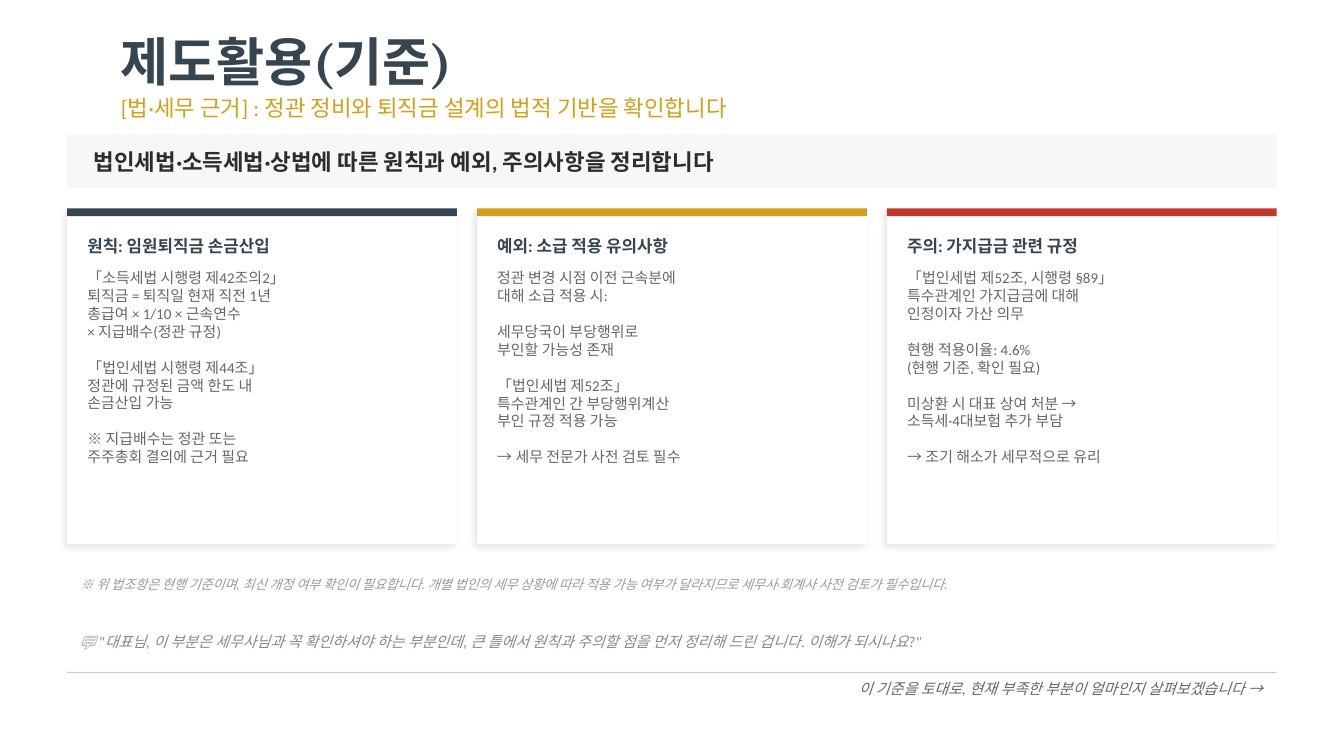
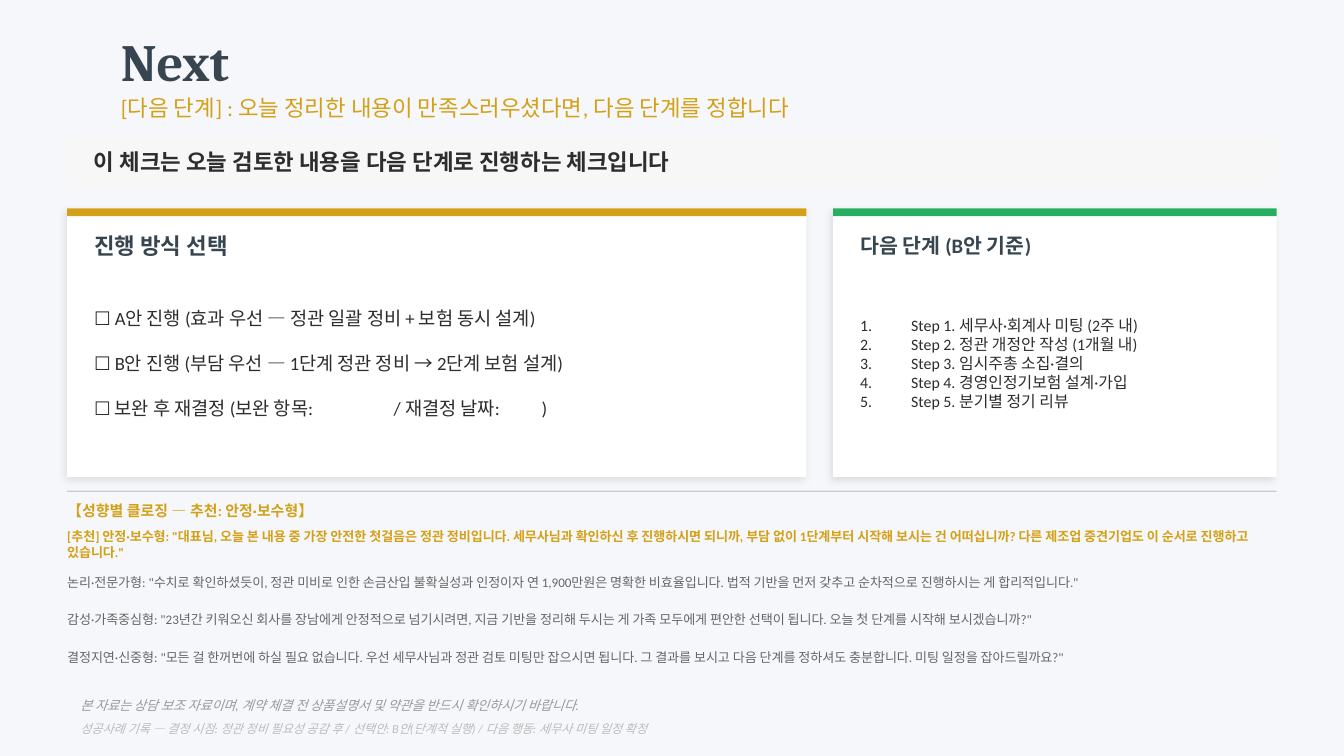
from lxml import etree
from pptx import Presentation
from pptx.dml.color import RGBColor
from pptx.enum.shapes import MSO_SHAPE
from pptx.enum.text import MSO_ANCHOR, MSO_AUTO_SIZE, PP_ALIGN
from pptx.oxml.ns import qn
from pptx.util import Inches, Pt

RECT = MSO_SHAPE.RECTANGLE
TOP, MIDDLE = MSO_ANCHOR.TOP, MSO_ANCHOR.MIDDLE
LEFT, RIGHT = PP_ALIGN.LEFT, PP_ALIGN.RIGHT
NO_FIT = MSO_AUTO_SIZE.NONE

# Shared look
HEAD_FONT, BODY_FONT = "Cambria", "Calibri"
SLATE, GOLD, RED, GREEN = "36454F", "D4A017", "C0392B", "27AE60"
INK, GRAY, WHITE, BAND, RULE = "2D2D2D", "666666", "FFFFFF", "F7F7F7", "CCCCCC"
NOTE, QUOTE, FAINT = "999999", "888888", "BBBBBB"
MARGIN, CONTENT_W, CARD_TOP = 0.5, 9, 1.55

LEGAL_CARDS = [
    (SLATE, "원칙: 임원퇴직금 손금산입", [
        ["「소득세법 시행령 제42조의2」", "퇴직금 = 퇴직일 현재 직전 1년",
         "총급여 × 1/10 × 근속연수", "× 지급배수(정관 규정)"],
        ["「법인세법 시행령 제44조」", "정관에 규정된 금액 한도 내", "손금산입 가능"],
        ["※ 지급배수는 정관 또는", "주주총회 결의에 근거 필요"]]),
    (GOLD, "예외: 소급 적용 유의사항", [
        ["정관 변경 시점 이전 근속분에", "대해 소급 적용 시:"],
        ["세무당국이 부당행위로", "부인할 가능성 존재"],
        ["「법인세법 제52조」", "특수관계인 간 부당행위계산", "부인 규정 적용 가능"],
        ["→ 세무 전문가 사전 검토 필수"]]),
    (RED, "주의: 가지급금 관련 규정", [
        ["「법인세법 제52조, 시행령 §89」", "특수관계인 가지급금에 대해", "인정이자 가산 의무"],
        ["현행 적용이율: 4.6%", "(현행 기준, 확인 필요)"],
        ["미상환 시 대표 상여 처분 →", "소득세·4대보험 추가 부담"],
        ["→ 조기 해소가 세무적으로 유리"]]),
]

OPTIONS = [
    ["☐ A안 진행 (효과 우선 — 정관 일괄 정비 + 보험 동시 설계)"],
    ["☐ B안 진행 (부담 우선 — 1단계 정관 정비 → 2단계 보험 설계)"],
    ["☐ 보완 후 재결정 (보완 항목:\t/ 재결정 날짜:\t)"],
]

STEPS = [
    "Step 1. 세무사·회계사 미팅 (2주 내)",
    "Step 2. 정관 개정안 작성 (1개월 내)",
    "Step 3. 임시주총 소집·결의",
    "Step 4. 경영인정기보험 설계·가입",
    "Step 5. 분기별 정기 리뷰",
]

CLOSINGS = [
    "[추천] 안정·보수형: \"대표님, 오늘 본 내용 중 가장 안전한 첫걸음은 정관 정비입니다. "
    "세무사님과 확인하신 후 진행하시면 되니까, 부담 없이 1단계부터 시작해 보시는 건 어떠십니까? "
    "다른 제조업 중견기업도 이 순서로 진행하고 있습니다.\"",
    "논리·전문가형: \"수치로 확인하셨듯이, 정관 미비로 인한 손금산입 불확실성과 인정이자 연 "
    "1,900만원은 명확한 비효율입니다. 법적 기반을 먼저 갖추고 순차적으로 진행하시는 게 합리적입니다.\"",
    "감성·가족중심형: \"23년간 키워오신 회사를 장남에게 안정적으로 넘기시려면, 지금 기반을 정리해 "
    "두시는 게 가족 모두에게 편안한 선택이 됩니다. 오늘 첫 단계를 시작해 보시겠습니까?\"",
    "결정지연·신중형: \"모든 걸 한꺼번에 하실 필요 없습니다. 우선 세무사님과 정관 검토 미팅만 "
    "잡으시면 됩니다. 그 결과를 보시고 다음 단계를 정하셔도 충분합니다. 미팅 일정을 잡아드릴까요?\"",
]


def rgb(value):
    return RGBColor.from_string(value)


def fill_text(shape, lines, size, color, font=BODY_FONT, bold=False, italic=False,
              align=LEFT, anchor=MIDDLE, inset=False):
    tf = shape.text_frame
    tf.word_wrap = True
    tf.auto_size = NO_FIT
    tf.vertical_anchor = anchor
    if not inset:
        tf.margin_left = tf.margin_right = tf.margin_top = tf.margin_bottom = 0
    tf.text = "\n".join(lines)
    for p in tf.paragraphs:
        p.alignment = align
        for r in p.runs:
            r.font.name, r.font.size = font, Pt(size)
            r.font.bold, r.font.italic = bold, italic
            r.font.color.rgb = rgb(color)
    return tf


def add_text(s, box, lines, size, color, **style):
    tb = s.shapes.add_textbox(*map(Inches, box))
    return fill_text(tb, lines, size, color, **style)


def add_groups(s, box, groups, size, color, gap, **style):
    """Lines in groups, with a gap above every group but the first."""
    tf = add_text(s, box, [line for g in groups for line in g], size, color, **style)
    start = 0
    for group in groups[:-1]:
        start += len(group)
        tf.paragraphs[start].space_before = Pt(gap)
    return tf


def add_rect(s, box, color):
    rect = s.shapes.add_shape(RECT, *map(Inches, box))
    rect.shadow.inherit = False
    rect.fill.solid()
    rect.fill.fore_color.rgb = rgb(color)
    rect.line.fill.background()
    return rect


def add_rule(s, y):
    add_rect(s, (MARGIN, y, CONTENT_W, 0.01), RULE)


def add_soft_shadow(shape):
    effects = shape._element.spPr.find(qn("a:effectLst"))
    shadow = etree.SubElement(effects, qn("a:outerShdw"), blurRad=str(Pt(4)),
                              dist=str(Pt(2)), dir=str(135 * 60000),
                              algn="bl", rotWithShape="0")
    black = etree.SubElement(shadow, qn("a:srgbClr"), val="000000")
    etree.SubElement(black, qn("a:alpha"), val="10000")


def add_card(s, x, w, h, color, heading, size, pad):
    add_soft_shadow(add_rect(s, (x, CARD_TOP, w, h), WHITE))
    add_rect(s, (x, CARD_TOP, w, 0.06), color)
    add_text(s, (x + pad, 1.7, w - 2 * pad, 0.25), [heading], size, SLATE, bold=True)


def add_note(s, y, h, text, size, color, align=LEFT):
    add_text(s, (MARGIN, y, CONTENT_W, h), [text], size, color,
             italic=True, align=align, inset=True)


def number_list(tf, indent):
    for p in tf.paragraphs:
        pPr = p._p.get_or_add_pPr()
        pPr.set("marL", str(Inches(indent)))
        pPr.set("indent", str(-Inches(indent)))
        etree.SubElement(pPr, qn("a:buFont"), typeface="+mj-lt")
        etree.SubElement(pPr, qn("a:buAutoNum"), type="arabicPeriod")


def set_tabs(p, stops):
    tabs = etree.SubElement(p._p.get_or_add_pPr(), qn("a:tabLst"))
    for stop in stops:
        etree.SubElement(tabs, qn("a:tab"), pos=str(Inches(stop)), algn="l")


def new_slide(prs, background, title, subtitle, message):
    s = prs.slides.add_slide(prs.slide_layouts[5])
    s.background.fill.solid()
    s.background.fill.fore_color.rgb = rgb(background)
    sp = s.shapes.title
    sp.left, sp.top, sp.width, sp.height = map(Inches, (0.9, 0.2, 8.6, 0.5))
    fill_text(sp, [title], 28, SLATE, font=HEAD_FONT, bold=True)
    add_text(s, (0.9, 0.65, 8.6, 0.3), [subtitle], 12, GOLD)
    add_rect(s, (MARGIN, 1, CONTENT_W, 0.4), BAND)
    add_text(s, (0.6, 1, 8.8, 0.4), [message], 12, INK, bold=True, inset=True)
    return s


def build_legal_basis(prs):
    s = new_slide(prs, WHITE, "제도활용(기준)",
                  "[법·세무 근거] : 정관 정비와 퇴직금 설계의 법적 기반을 확인합니다",
                  "법인세법·소득세법·상법에 따른 원칙과 예외, 주의사항을 정리합니다")
    # Three equal cards
    card_w, gap, pad = 2.9, 0.15, 0.15
    for i, (color, heading, groups) in enumerate(LEGAL_CARDS):
        x = MARGIN + i * (card_w + gap)
        add_card(s, x, card_w, 2.5, color, heading, 9, pad)
        add_groups(s, (x + pad, 2, card_w - 2 * pad, 1.95), groups, 8, GRAY,
                   gap=9.6, anchor=TOP)
    # Notes and lead to the next slide
    add_note(s, 4.2, 0.3, "※ 위 법조항은 현행 기준이며, 최신 개정 여부 확인이 필요합니다. "
             "개별 법인의 세무 상황에 따라 적용 가능 여부가 달라지므로 "
             "세무사·회계사 사전 검토가 필수입니다.", 7, NOTE)
    add_note(s, 4.6, 0.35, "💬 \"대표님, 이 부분은 세무사님과 꼭 확인하셔야 하는 부분인데, "
             "큰 틀에서 원칙과 주의할 점을 먼저 정리해 드린 겁니다. 이해가 되시나요?\"", 8, QUOTE)
    add_rule(s, 5)
    add_note(s, 4.95, 0.35, "이 기준을 토대로, 현재 부족한 부분이 얼마인지 살펴보겠습니다 →",
             8, GRAY, align=RIGHT)


def build_next_steps(prs):
    s = new_slide(prs, "F5F7FA", "Next",
                  "[다음 단계] : 오늘 정리한 내용이 만족스러우셨다면, 다음 단계를 정합니다",
                  "이 체크는 오늘 검토한 내용을 다음 단계로 진행하는 체크입니다")
    # Choices
    add_card(s, MARGIN, 5.5, 2, GOLD, "진행 방식 선택", 12, 0.2)
    tf = add_groups(s, (0.7, 2, 5.1, 1.4), OPTIONS, 10, INK, gap=12)
    set_tabs(tf.paragraphs[-1], (2.23, 3.33))
    # Numbered steps
    add_card(s, 6.2, 3.3, 2, GREEN, "다음 단계 (B안 기준)", 11, 0.2)
    number_list(add_text(s, (6.4, 2.05, 2.9, 1.3), STEPS, 8.5, INK), 0.38)
    # Closing lines by client type, the recommended one first
    add_rule(s, 3.65)
    add_text(s, (MARGIN, 3.7, CONTENT_W, 0.2), ["【성향별 클로징 — 추천: 안정·보수형】"],
             8, GOLD, bold=True)
    for i, closing in enumerate(CLOSINGS):
        add_text(s, (MARGIN, 3.92 + 0.28 * i, CONTENT_W, 0.26), [closing], 7,
                 GRAY if i else GOLD, bold=i == 0)
    # Footer
    add_note(s, 5.15, 0.2, "본 자료는 상담 보조 자료이며, 계약 체결 전 상품설명서 및 약관을 "
             "반드시 확인하시기 바랍니다.", 7, NOTE)
    add_note(s, 5.35, 0.15, "성공사례 기록 — 결정 시점: 정관 정비 필요성 공감 후 / "
             "선택안: B안(단계적 실행) / 다음 행동: 세무사 미팅 일정 확정", 6.5, FAINT)


def main():
    prs = Presentation()
    prs.slide_width, prs.slide_height = Inches(10), Inches(5.625)
    build_legal_basis(prs)
    build_next_steps(prs)
    prs.save("out.pptx")


if __name__ == "__main__":
    main()
